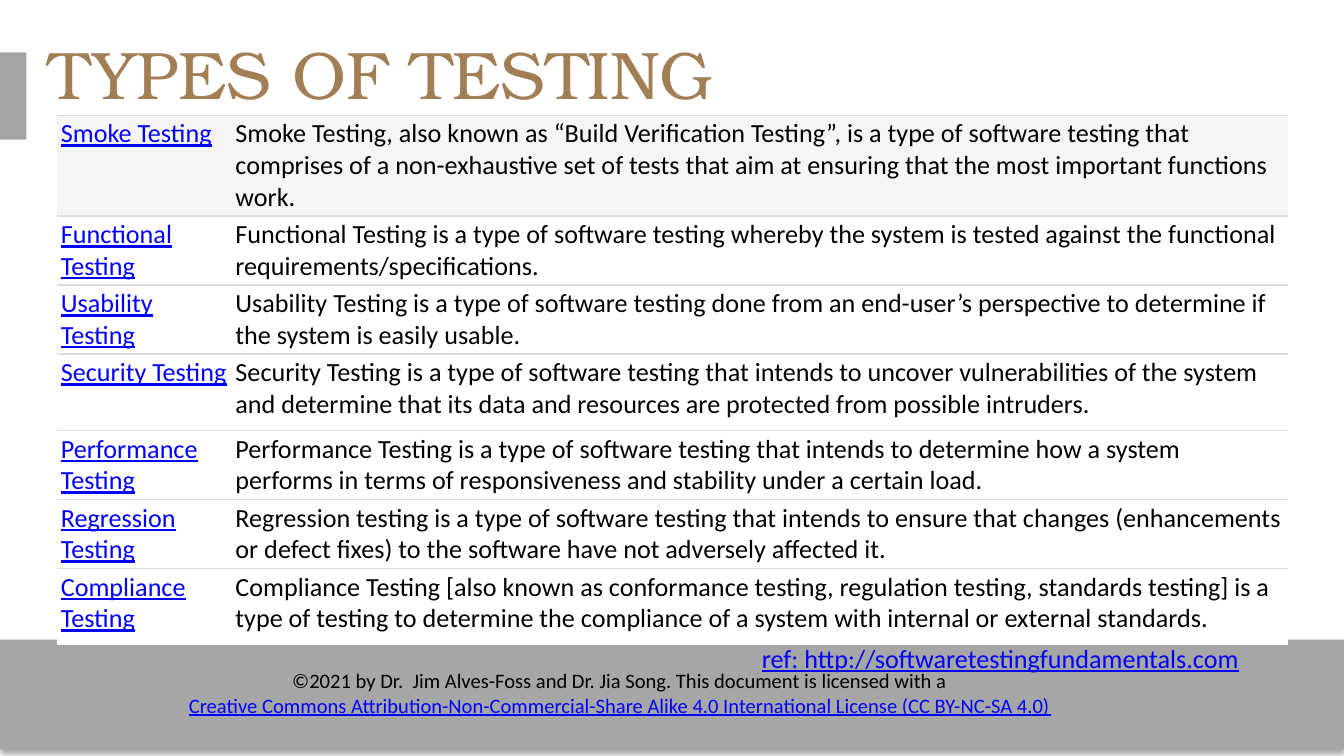
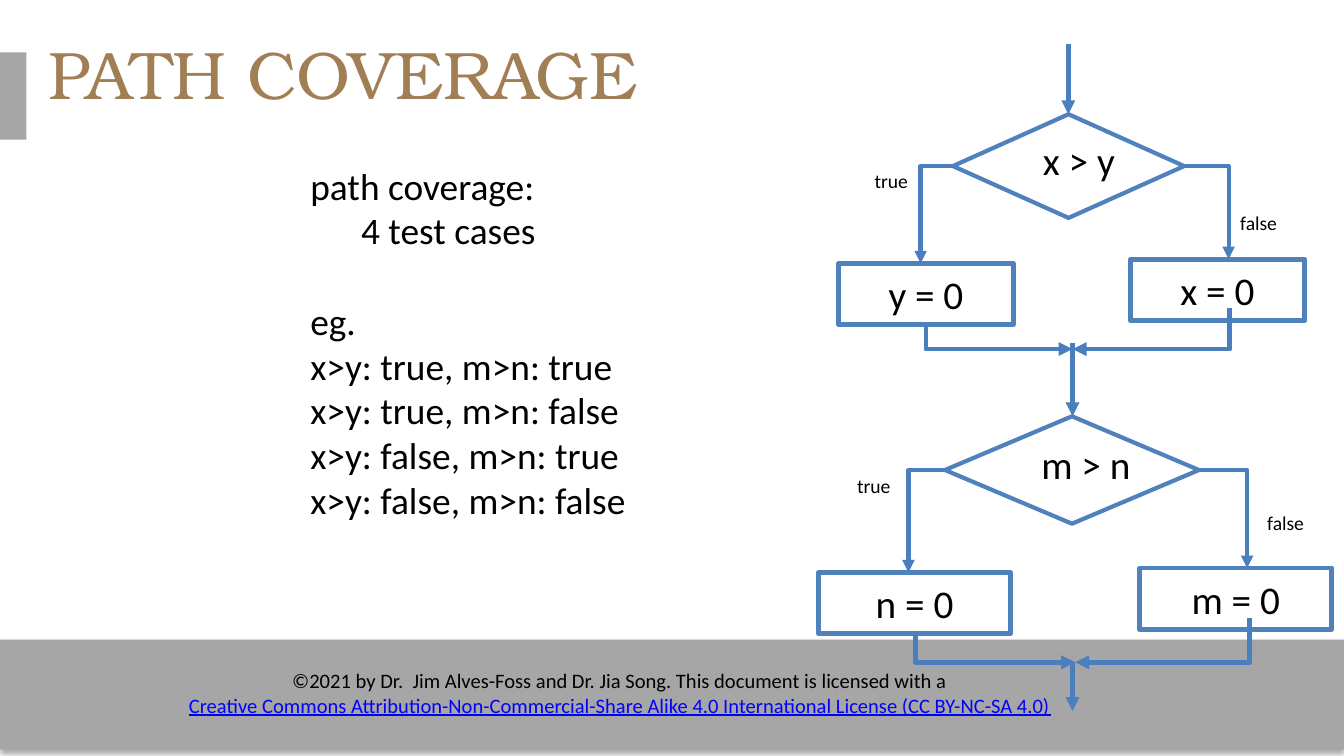
from dataclasses import dataclass

from lxml import etree
from pptx import Presentation
from pptx.dml.color import RGBColor
from pptx.enum.shapes import MSO_CONNECTOR, MSO_SHAPE
from pptx.enum.text import MSO_ANCHOR, MSO_AUTO_SIZE, PP_ALIGN
from pptx.oxml.ns import qn
from pptx.util import Cm, Pt

RECTANGLE, DIAMOND = MSO_SHAPE.RECTANGLE, MSO_SHAPE.DIAMOND
STRAIGHT, ELBOW = MSO_CONNECTOR.STRAIGHT, MSO_CONNECTOR.ELBOW
LEFT, CENTER = PP_ALIGN.LEFT, PP_ALIGN.CENTER
TOP, MIDDLE = MSO_ANCHOR.TOP, MSO_ANCHOR.MIDDLE
FIXED = MSO_AUTO_SIZE.NONE

BLACK = RGBColor(0x00, 0x00, 0x00)
WHITE = RGBColor(0xFF, 0xFF, 0xFF)
GRAY = RGBColor(0xA6, 0xA6, 0xA6)
PALE = RGBColor(0xF5, 0xF5, 0xF5)
RULE = RGBColor(0xDD, 0xDD, 0xDD)
TAN = RGBColor(0xA2, 0x7E, 0x55)
LINK = RGBColor(0x00, 0x00, 0xFF)
OUTLINE = RGBColor(0x4F, 0x81, 0xBD)
ARROW = RGBColor(0x4B, 0x7E, 0xBC)
BODY_FONT, TITLE_FONT = "Calibri", "TeX Gyre Bonum"


@dataclass(frozen=True)
class Box:
    """A place on the slide, in centimetres."""
    left: float
    top: float
    width: float
    height: float

    @property
    def right(self) -> float:
        return self.left + self.width

    @property
    def middle(self) -> float:
        return self.top + self.height / 2

    def lengths(self) -> tuple:
        return Cm(self.left), Cm(self.top), Cm(self.width), Cm(self.height)


@dataclass(frozen=True)
class Line:
    text: str
    color: RGBColor = BLACK
    underline: bool = False
    indent: float = 0
    before: float = 0


@dataclass(frozen=True)
class Branch:
    answer: str
    answer_box: Box
    assignment: str
    block: Box
    entry_x: float
    exit: tuple[float, float]


@dataclass(frozen=True)
class Decision:
    condition: str
    condition_box: Box
    diamond: Box
    entry: tuple[float, float]
    merge: tuple[float, float]
    branches: tuple[Branch, Branch]


def link(text: str) -> Line:
    return Line(text, LINK, True)


TITLE_BOX = Box(0.91, 0.58, 22.86, 1.6)
BAND = Box(0, 12.09, 25.4, 2.08)
SIDE_TAB = Box(-0.08, 0.99, 0.58, 1.65)
LICENSE_BOX = Box(2.57, 12.5, 18.29, 1.19)
LICENSE = [
    Line("©2021 by Dr.  Jim Alves-Foss and Dr. Jia Song. This document is licensed with a"),
    link("Creative Commons Attribution-Non-Commercial-Share Alike 4.0 International "
         "License (CC BY-NC-SA 4.0)"),
]

TABLE_BOX = Box(1.07, 2.18, 23.27, 9.43)
COLUMN_WIDTHS = (3.3, 19.97)
REFERENCE_BOX = Box(14.15, 12.01, 14.12, 0.86)
# Name, description, row height
TESTING_TYPES = [
    ("Smoke Testing", "Smoke Testing, also known as “Build Verification Testing”, is a type of "
     "software testing that comprises of a non-exhaustive set of tests that aim at ensuring "
     "that the most important functions work.", 1.45),
    ("Functional Testing", "Functional Testing is a type of software testing whereby the system "
     "is tested against the functional requirements/specifications.", 1.27),
    ("Usability Testing", "Usability Testing is a type of software testing done from an "
     "end-user’s perspective to determine if the system is easily usable.", 1.27),
    ("Security Testing", "Security Testing is a type of software testing that intends to uncover "
     "vulnerabilities of the system and determine that its data and resources are protected "
     "from possible intruders.", 1.45),
    ("Performance Testing", "Performance Testing is a type of software testing that intends to "
     "determine how a system performs in terms of responsiveness and stability under a "
     "certain load.", 1.27),
    ("Regression Testing", "Regression testing is a type of software testing that intends to "
     "ensure that changes (enhancements or defect fixes) to the software have not adversely "
     "affected it.", 1.27),
    ("Compliance Testing", "Compliance Testing [also known as conformance testing, regulation "
     "testing, standards testing] is a type of testing to determine the compliance of a system "
     "with internal or external standards.", 1.45),
]

CASES_BOX = Box(5.61, 2.95, 7.77, 7.87)
CASES = [
    Line("path coverage:"),
    Line("4 test cases", indent=0.96),
    Line("eg.", before=24.4),
    *(Line(f"x>y: {first}, m>n: {second}")
      for first in ("true", "false") for second in ("true", "false")),
]
DECISIONS = [
    Decision("x > y", Box(19.46, 2.46, 2.31, 1.14), Box(18.01, 2.16, 4.37, 1.96),
             (20.19, 0.84), (20.27, 6.6), (
        Branch("true", Box(16.28, 3.07, 1.37, 0.71), "y = 0",
               Box(15.85, 4.98, 3.3, 1.16), 17.4, (17.5, 6.15)),
        Branch("false", Box(23.19, 3.86, 1.7, 0.71), "x = 0",
               Box(21.36, 4.9, 3.3, 1.16), 23.22, (23.24, 5.82)))),
    Decision("m > n", Box(19.43, 8.2, 2.54, 1.14), Box(17.86, 7.87, 4.8, 2.03),
             (20.27, 6.48), (20.32, 12.52), (
        Branch("true", Box(15.95, 8.84, 1.52, 0.71), "n = 0",
               Box(15.47, 10.82, 3.63, 1.16), 17.17, (17.3, 11.99)),
        Branch("false", Box(23.7, 9.53, 1.7, 0.71), "m = 0",
               Box(21.54, 10.74, 3.63, 1.16), 23.57, (23.62, 11.68)))),
]
FLOW_END = ((20.27, 12.52), (20.27, 13.44))


def write(frame, lines: list[Line], *, size: float, font: str = BODY_FONT,
          align=LEFT, anchor=TOP) -> None:
    """Fill a text frame with formatted, bullet-free paragraphs."""
    frame.word_wrap = True
    frame.vertical_anchor = anchor
    for index, line in enumerate(lines):
        paragraph = frame.paragraphs[0] if index == 0 else frame.add_paragraph()
        properties = paragraph._p.get_or_add_pPr()
        properties.set("marL", str(Cm(line.indent)))
        properties.set("indent", "0")
        etree.SubElement(properties, qn("a:buNone"))
        paragraph.alignment = align
        paragraph.space_before = Pt(line.before)
        run = paragraph.add_run()
        run.text = line.text
        run.font.name, run.font.size = font, Pt(size)
        run.font.color.rgb = line.color
        run.font.underline = line.underline


def place(shape, box: Box) -> None:
    shape.left, shape.top, shape.width, shape.height = box.lengths()


def add_label(shapes, box: Box, lines: list[Line], **style):
    label = shapes.add_textbox(*box.lengths())
    write(label.text_frame, lines, **style)
    return label


def add_panel(shapes, kind, box: Box, *, fill: RGBColor | None = None, line_width: float = 0):
    panel = shapes.add_shape(kind, *box.lengths())
    panel.shadow.inherit = False
    if fill is None:
        panel.fill.background()
    else:
        panel.fill.solid()
        panel.fill.fore_color.rgb = fill
    if line_width:
        panel.line.color.rgb = OUTLINE
        panel.line.width = Pt(line_width)
    else:
        panel.line.fill.background()
    return panel


def add_arrow(shapes, start: tuple[float, float], end: tuple[float, float], *,
              kind=STRAIGHT, down_first: bool = False, width: float = 2.5) -> None:
    """Draw an arrow; an elbow turns once, starting sideways unless down_first."""
    arrow = shapes.add_connector(kind, *(Cm(value) for value in (*start, *end)))
    arrow.line.color.rgb = ARROW
    arrow.line.width = Pt(width)
    properties = arrow._element.spPr
    etree.SubElement(arrow.line._get_or_add_ln(), qn("a:tailEnd"), type="triangle")
    etree.SubElement(properties, qn("a:effectLst"))
    if kind == ELBOW:
        properties.find(qn("a:prstGeom")).set("prst", "bentConnector2")
    if down_first:
        # Turn the frame a quarter about its centre
        across, down = arrow.width, arrow.height
        arrow.left += (across - down) // 2
        arrow.top += (down - across) // 2
        arrow.width, arrow.height = down, across
        rightward = end[0] > start[0]
        frame = properties.find(qn("a:xfrm"))
        frame.set("rot", str((270 if rightward else 90) * 60000))
        frame.set("flipH", "1" if rightward else "0")


def add_shadow(shape) -> None:
    effects = shape._element.spPr.find(qn("a:effectLst"))
    shadow = etree.SubElement(effects, qn("a:outerShdw"), blurRad=str(Pt(3.1)),
                              dist=str(Pt(1.8)), dir="5400000", rotWithShape="0")
    color = etree.SubElement(shadow, qn("a:srgbClr"), val=str(BLACK))
    etree.SubElement(color, qn("a:alpha"), val="35000")


def furnish_master(deck, slide) -> None:
    """Build the shared parts on a slide, then move them to the master."""
    band = add_panel(slide.shapes, RECTANGLE, BAND, fill=GRAY)
    add_shadow(band)
    license_note = add_label(slide.shapes, LICENSE_BOX, LICENSE, size=11, align=CENTER)
    side_tab = add_panel(slide.shapes, RECTANGLE, SIDE_TAB, fill=GRAY)
    tree = deck.slide_master.shapes._spTree
    for offset, part in enumerate((band, license_note, side_tab)):
        part._element.nvSpPr.cNvPr.set("id", str(101 + offset))
        tree.insert(2 + offset, part._element)


def add_title(slide, text: str) -> None:
    title = slide.shapes.title
    place(title, TITLE_BOX)
    frame = title.text_frame
    frame.auto_size = FIXED
    frame.margin_left = frame.margin_right = frame.margin_top = frame.margin_bottom = 0
    write(frame, [Line(text, TAN)], size=36, font=TITLE_FONT, anchor=MIDDLE)


def set_borders(cell, *, bottom: bool) -> None:
    properties = cell._tc.get_or_add_tcPr()
    edges = (("a:lnL", False), ("a:lnR", False), ("a:lnT", True), ("a:lnB", bottom))
    for index, (tag, visible) in enumerate(edges):
        edge = etree.Element(qn(tag), w=str(Pt(0.75)))
        properties.insert(index, edge)
        fill = etree.SubElement(edge, qn("a:solidFill" if visible else "a:noFill"))
        if visible:
            etree.SubElement(fill, qn("a:srgbClr"), val=str(RULE))


def add_testing_table(slide) -> None:
    table = slide.shapes.add_table(len(TESTING_TYPES), 2, *TABLE_BOX.lengths()).table
    table.first_row = table.horz_banding = False
    for column, width in zip(table.columns, COLUMN_WIDTHS):
        column.width = Cm(width)
    for index, (name, description, height) in enumerate(TESTING_TYPES):
        table.rows[index].height = Cm(height)
        for cell, line in zip(table.rows[index].cells, (link(name), Line(description))):
            cell.margin_left = cell.margin_right = Cm(0.08)
            cell.margin_top = cell.margin_bottom = Cm(0.05)
            cell.fill.solid()
            cell.fill.fore_color.rgb = PALE if index == 0 else WHITE
            set_borders(cell, bottom=index < len(TESTING_TYPES) - 1)
            write(cell.text_frame, [line], size=14)


def add_decision(slide, decision: Decision) -> None:
    shapes = slide.shapes.add_group_shape().shapes
    diamond = decision.diamond
    add_panel(shapes, DIAMOND, diamond, line_width=2.25)
    add_label(shapes, decision.condition_box, [Line(decision.condition)], size=21)
    add_arrow(shapes, decision.entry, (decision.entry[0], diamond.top))
    for branch, side in zip(decision.branches, (diamond.left, diamond.right)):
        block = add_panel(shapes, RECTANGLE, branch.block, line_width=2.5)
        write(block.text_frame, [Line(branch.assignment)], size=21, align=CENTER, anchor=MIDDLE)
        add_arrow(shapes, (side, diamond.middle), (branch.entry_x, branch.block.top),
                  kind=ELBOW, width=2.25)
        add_arrow(shapes, branch.exit, decision.merge, kind=ELBOW, down_first=True)
        add_label(shapes, branch.answer_box, [Line(branch.answer)], size=10.5)


def main() -> None:
    deck = Presentation()
    deck.slide_width, deck.slide_height = Cm(25.4), Cm(14.29)
    title_and_body, title_only = deck.slide_layouts[1], deck.slide_layouts[5]

    # Types of testing
    types_slide = deck.slides.add_slide(title_only)
    furnish_master(deck, types_slide)
    add_title(types_slide, "TYPES OF TESTING")
    add_testing_table(types_slide)
    add_label(types_slide.shapes, REFERENCE_BOX,
              [link("ref: http://softwaretestingfundamentals.com")], size=14)

    # Path coverage
    coverage_slide = deck.slides.add_slide(title_and_body)
    add_title(coverage_slide, "PATH COVERAGE")
    cases = coverage_slide.placeholders[1]
    place(cases, CASES_BOX)
    cases.text_frame.auto_size = FIXED
    write(cases.text_frame, CASES, size=20)
    for decision in DECISIONS:
        add_decision(coverage_slide, decision)
    add_arrow(coverage_slide.shapes, *FLOW_END)

    deck.save("out.pptx")


if __name__ == "__main__":
    main()
